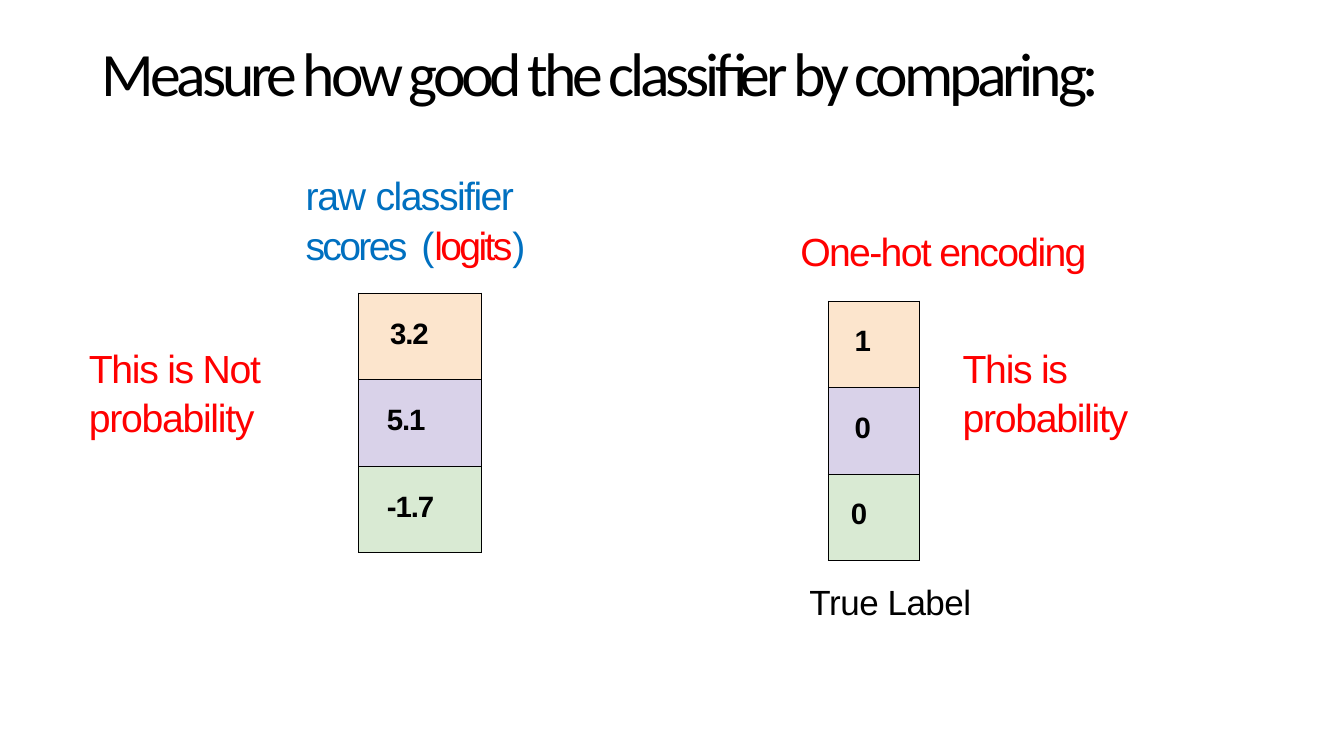
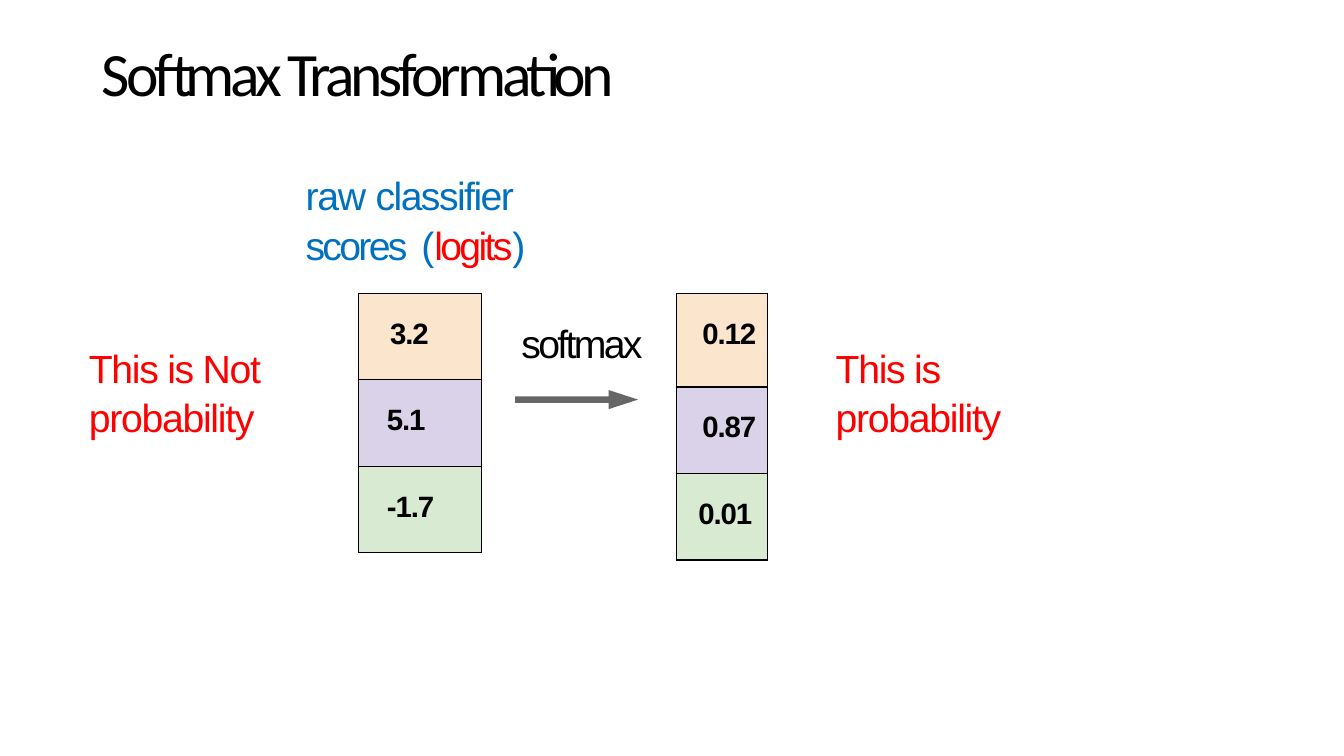
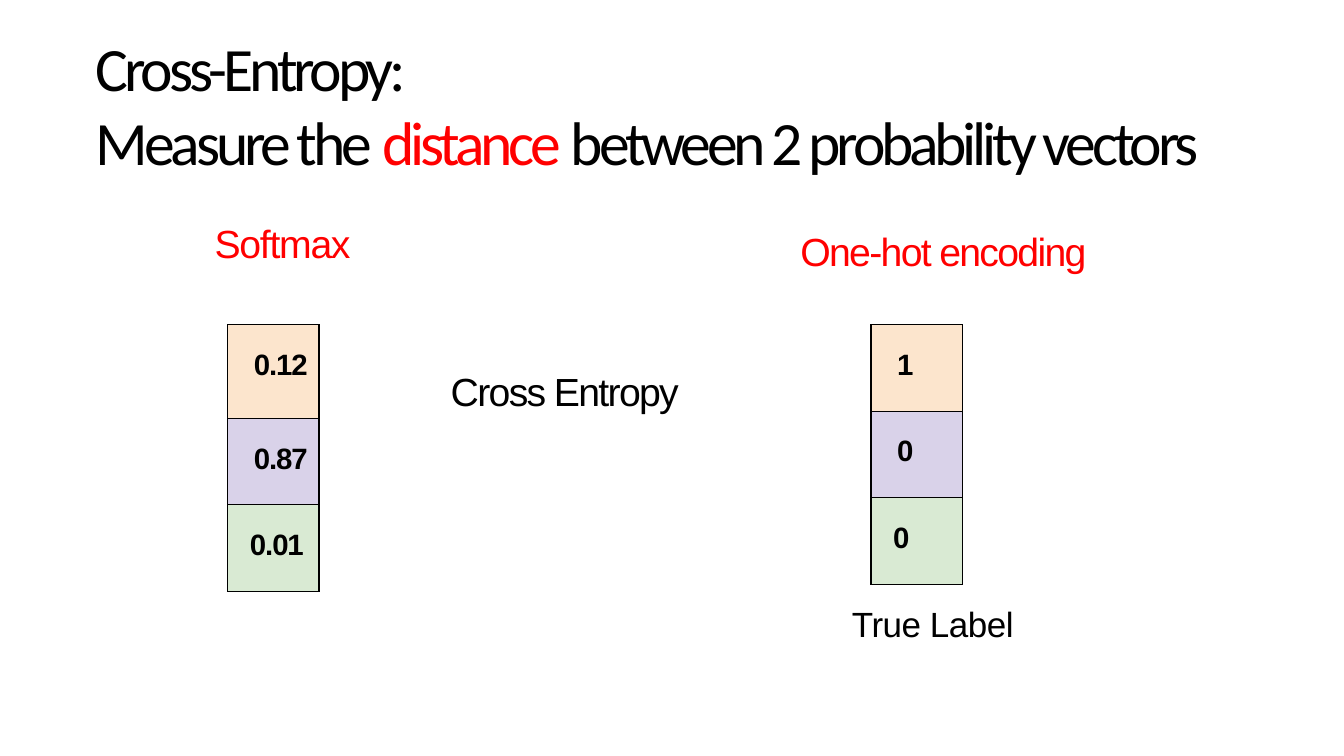
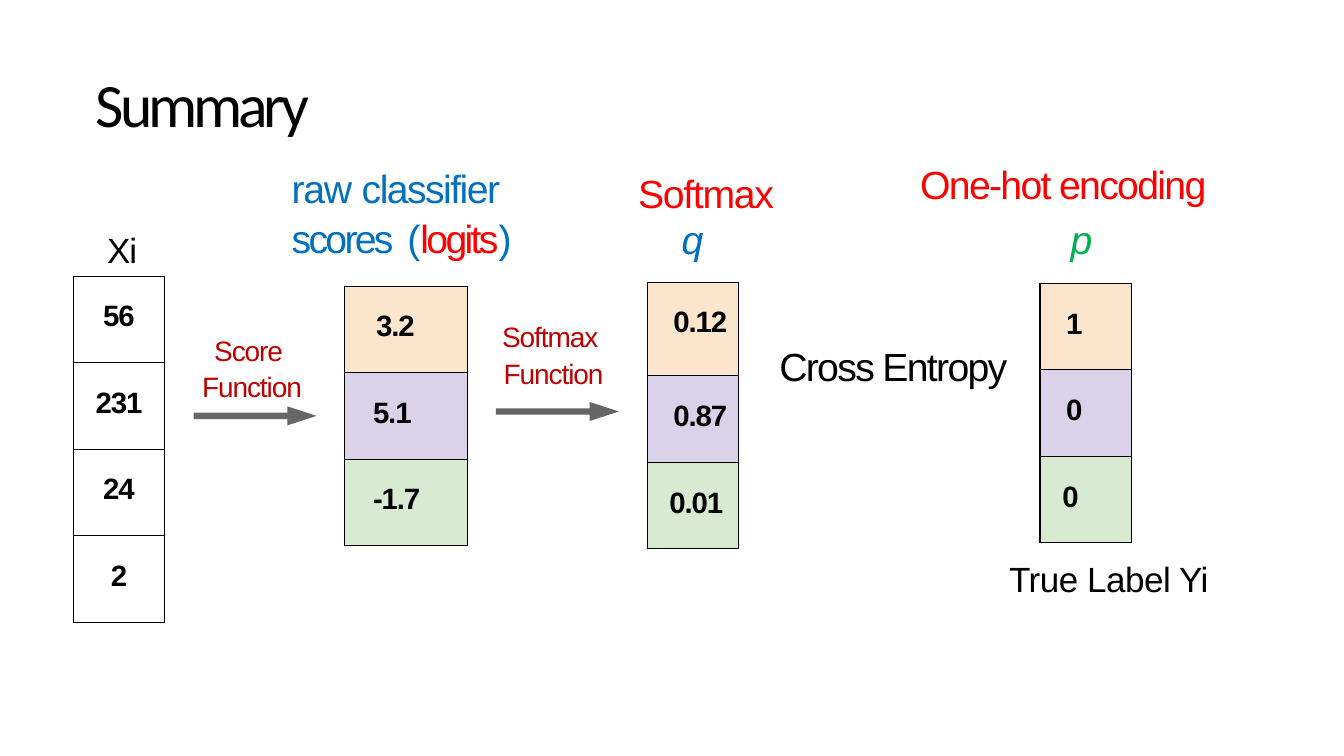
from lxml import etree
from pptx import Presentation
from pptx.dml.color import RGBColor
from pptx.enum.text import MSO_ANCHOR, PP_ALIGN
from pptx.oxml.ns import qn
from pptx.util import Cm, Pt

LEFT, CENTER = PP_ALIGN.LEFT, PP_ALIGN.CENTER
TOP, MIDDLE = MSO_ANCHOR.TOP, MSO_ANCHOR.MIDDLE

BLACK = RGBColor(0x00, 0x00, 0x00)
RED = RGBColor(0xFF, 0x00, 0x00)
DARK_RED = RGBColor(0xC0, 0x00, 0x00)
BLUE = RGBColor(0x00, 0x70, 0xC0)
GREEN = RGBColor(0x00, 0xB0, 0x50)
GRAY = RGBColor(0x66, 0x66, 0x66)
PEACH = RGBColor(0xFC, 0xE5, 0xCD)
LILAC = RGBColor(0xD9, 0xD2, 0xE9)
MINT = RGBColor(0xD9, 0xEA, 0xD3)

# Text styles: font values, then colour, letter spacing (pt) and paragraph layout
HEADING = {"font": {"name": "Calibri", "size": Pt(44)}, "color": BLACK, "spacing": -3,
           "align": LEFT, "anchor": MIDDLE, "line": 1.0}
LABEL = {"font": {"name": "Arial", "size": Pt(28)}, "color": RED, "spacing": -0.9,
         "align": LEFT, "anchor": TOP, "line": 1.04}
ENCODING = LABEL | {"spacing": -1.2}
ENTROPY = ENCODING | {"color": BLACK}
FUNCTION = LABEL | {"color": BLACK, "spacing": -1.9}
SYMBOL = LABEL | {"font": LABEL["font"] | {"italic": True}, "spacing": 0}
TRUTH = LABEL | {"font": {"name": "Arial", "size": Pt(25)}, "color": BLACK, "spacing": -0.3}
INPUT = TRUTH | {"spacing": -0.8}
STEP = LABEL | {"font": {"name": "Arial", "size": Pt(20)}, "color": DARK_RED,
                "spacing": -0.8, "align": CENTER}
VALUE = {"font": {"name": "Arial", "size": Pt(21), "bold": True}, "color": BLACK, "spacing": -0.8}

# Wording: each paragraph is a list of (text, changes to the style)
LOGITS_CAPTION = [
    [("raw ", {"color": BLUE}), ("classifier ", {"color": BLUE, "spacing": -1.1})],
    [("scores  (", {"color": BLUE, "spacing": -1.9}), ("logits", {"spacing": -1.9}),
     (")", {"color": BLUE, "spacing": -1.9})],
]
ENTROPY_TITLE = [
    [("Cross-Entropy:", {}), ("\n", {}), ("Measure the ", {}), ("distance", {"color": RED}),
     (" between 2 probability vectors", {})],
]

# Value columns: values, fills, text indents, column width, first row height (cm)
CLASS_FILLS = (PEACH, LILAC, MINT)
NARROW = (0.66, 0.66, 0.56)
LOGITS = (("3.2", "5.1", "-1.7"), CLASS_FILLS, (0.79, 0.71, 0.71), 3.1, 2.18)
SOFTMAX = (("0.12", "0.87", "0.01"), CLASS_FILLS, NARROW, 2.3, 2.36)
ONE_HOT = (("1", "0", "0"), CLASS_FILLS, NARROW, 2.3, 2.18)
FEATURES = (("56", "231", "24", "2"), (None,) * 4, (None,) * 4, 2.3, 2.18)
ROW_HEIGHT = 2.18
CELL_TOP = 0.61

TITLE_BOX = (2.54, 0.84, 26.85, 1.9)
LABEL_W, LABEL_H = 5.77, 1.24

# Slides: texts (wording, style, box), columns (data, left, top), arrows (left, top)
NOT_PROBABILITY = ("This is Not probability", LABEL, (2.21, 8.61, LABEL_W, 2.44))
SLIDES = [
    {
        "texts": [
            ("Measure how good the classifier by comparing:", HEADING, TITLE_BOX),
            (LOGITS_CAPTION, LABEL, (7.67, 4.24, LABEL_W, 2.46)),
            ("One-hot encoding", ENCODING, (20.14, 5.64, 8.61, LABEL_H)),
            ("True Label", TRUTH, (20.37, 14.55, 7.32, 1.1)),
            NOT_PROBABILITY,
            ("This is probability", LABEL, (24.23, 8.61, LABEL_W, 2.44)),
        ],
        "columns": [(LOGITS, 9.04, 7.39), (ONE_HOT, 20.88, 7.59)],
        "arrows": [],
    },
    {
        "texts": [
            ("Softmax Transformation", HEADING, TITLE_BOX),
            (LOGITS_CAPTION, LABEL, (7.67, 4.24, LABEL_W, 2.46)),
            NOT_PROBABILITY,
            ("This is probability", LABEL, (21.03, 8.61, LABEL_W, 2.44)),
            ("softmax", FUNCTION, (13.11, 7.98, 3.35, LABEL_H)),
        ],
        "columns": [(LOGITS, 9.04, 7.39), (SOFTMAX, 17.04, 7.39)],
        "arrows": [(12.98, 9.83)],
    },
    {
        "texts": [
            (ENTROPY_TITLE, HEADING, (2.39, 0.69, 28.7, 3.81)),
            ("One-hot encoding", ENCODING, (20.14, 5.64, 8.61, LABEL_H)),
            ("True Label", TRUTH, (21.44, 15.11, 7.32, 1.1)),
            ("Softmax", LABEL, (5.38, 5.44, 8.86, LABEL_H)),
            ("Cross Entropy", ENTROPY, (11.33, 9.17, 8.61, LABEL_H)),
        ],
        "columns": [(ONE_HOT, 21.95, 8.18), (SOFTMAX, 5.74, 8.18)],
        "arrows": [],
    },
    {
        "texts": [
            ("Summary", HEADING, (2.39, 1.63, 28.7, 1.9)),
            ("One-hot encoding", ENCODING, (23.16, 3.96, 8.61, LABEL_H)),
            ("True Label Yi", TRUTH, (25.4, 13.97, 7.32, 1.1)),
            ("Cross Entropy", ENTROPY, (19.61, 8.56, 8.61, LABEL_H)),
            ("q", SYMBOL | {"color": BLUE}, (17.15, 5.36, 0.79, LABEL_H)),
            ("p", SYMBOL | {"color": GREEN}, (26.95, 5.36, 1.27, LABEL_H)),
            ("Softmax", LABEL, (16.05, 4.19, 3.76, LABEL_H)),
            ("Xi", INPUT, (2.67, 5.69, 1.27, 1.1)),
            (LOGITS_CAPTION, LABEL, (7.32, 4.06, LABEL_W, 2.46)),
            ([[("Score ", {})], [("Function", {})]], STEP, (4.67, 8.33, 3.33, 1.78)),
            ([[("Softmax ", {})], [("Function", {})]], STEP, (12.27, 8.0, 3.33, 1.78)),
        ],
        "columns": [(ONE_HOT, 26.21, 7.14), (SOFTMAX, 16.31, 7.11),
                    (FEATURES, 1.85, 6.96), (LOGITS, 8.69, 7.21)],
        "arrows": [(4.88, 10.24), (12.5, 10.13)],
    },
]

# Arrow outline (cm), clockwise from the upper left of the shaft
ARROW = ((0, 0.16), (2.36, 0.16), (2.36, 0), (3.1, 0.24), (2.36, 0.48), (2.36, 0.32), (0, 0.32))


def set_values(target, values):
    for attribute, value in values.items():
        setattr(target, attribute, value)


def add_run(paragraph, text, style):
    run = paragraph.add_run()
    run.text = text
    set_values(run.font, style["font"])
    run.font.color.rgb = style["color"]
    run.font._element.set("spc", str(round(style["spacing"] * 100)))


def set_indent(paragraph, indent):
    paragraph._p.get_or_add_pPr().set("marL", str(Cm(indent)))


def add_text(slide, wording, style, box):
    frame = slide.shapes.add_textbox(*map(Cm, box)).text_frame
    set_values(frame, {"word_wrap": True, "vertical_anchor": style["anchor"],
                       "margin_left": 0, "margin_top": Cm(0.03),
                       "margin_right": 0, "margin_bottom": 0})
    paragraphs = [[(wording, {})]] if isinstance(wording, str) else wording
    for number, runs in enumerate(paragraphs):
        paragraph = frame.add_paragraph() if number else frame.paragraphs[0]
        set_values(paragraph, {"alignment": style["align"], "space_before": Pt(1),
                               "line_spacing": style["line"]})
        set_indent(paragraph, 0.03)
        for text, changes in runs:
            if text == "\n":
                paragraph.add_line_break()
            else:
                add_run(paragraph, text, style | changes)


def add_borders(cell):
    properties = cell._tc.get_or_add_tcPr()
    for position, side in enumerate(("a:lnL", "a:lnR", "a:lnT", "a:lnB")):
        line = etree.Element(qn(side), w=str(Pt(1)))
        fill = etree.SubElement(line, qn("a:solidFill"))
        etree.SubElement(fill, qn("a:srgbClr"), val=str(BLACK))
        properties.insert(position, line)


def add_column(slide, column, left, top):
    values, fills, indents, width, first_height = column
    heights = [first_height] + [ROW_HEIGHT] * (len(values) - 1)
    table = slide.shapes.add_table(len(values), 1, Cm(left), Cm(top),
                                   Cm(width), Cm(sum(heights))).table
    set_values(table, {"first_row": False, "horz_banding": False})
    table.columns[0].width = Cm(width)
    for row, (value, fill, indent, height) in enumerate(zip(values, fills, indents, heights)):
        table.rows[row].height = Cm(height)
        cell = table.cell(row, 0)
        set_values(cell, {"margin_left": 0, "margin_top": Cm(CELL_TOP),
                          "margin_right": 0, "margin_bottom": 0})
        if fill is None:
            cell.fill.background()
        else:
            cell.fill.solid()
            cell.fill.fore_color.rgb = fill
        add_borders(cell)
        paragraph = cell.text_frame.paragraphs[0]
        if indent is None:
            paragraph.alignment = CENTER
        else:
            set_indent(paragraph, indent)
        add_run(paragraph, value, VALUE)


def add_arrow(slide, left, top):
    points = [(Cm(left + x), Cm(top + y)) for x, y in ARROW]
    builder = slide.shapes.build_freeform(*points[0])
    builder.add_line_segments(points[1:], close=True)
    arrow = builder.convert_to_shape()
    arrow.shadow.inherit = False
    arrow.fill.solid()
    arrow.fill.fore_color.rgb = GRAY
    arrow.line.fill.background()


# Build the slides
deck = Presentation()
deck.slide_width, deck.slide_height = Cm(33.87), Cm(19.05)
blank = deck.slide_layouts[6]
for content in SLIDES:
    slide = deck.slides.add_slide(blank)
    for column in content["columns"]:
        add_column(slide, *column)
    for text in content["texts"]:
        add_text(slide, *text)
    for arrow in content["arrows"]:
        add_arrow(slide, *arrow)
deck.save("out.pptx")
